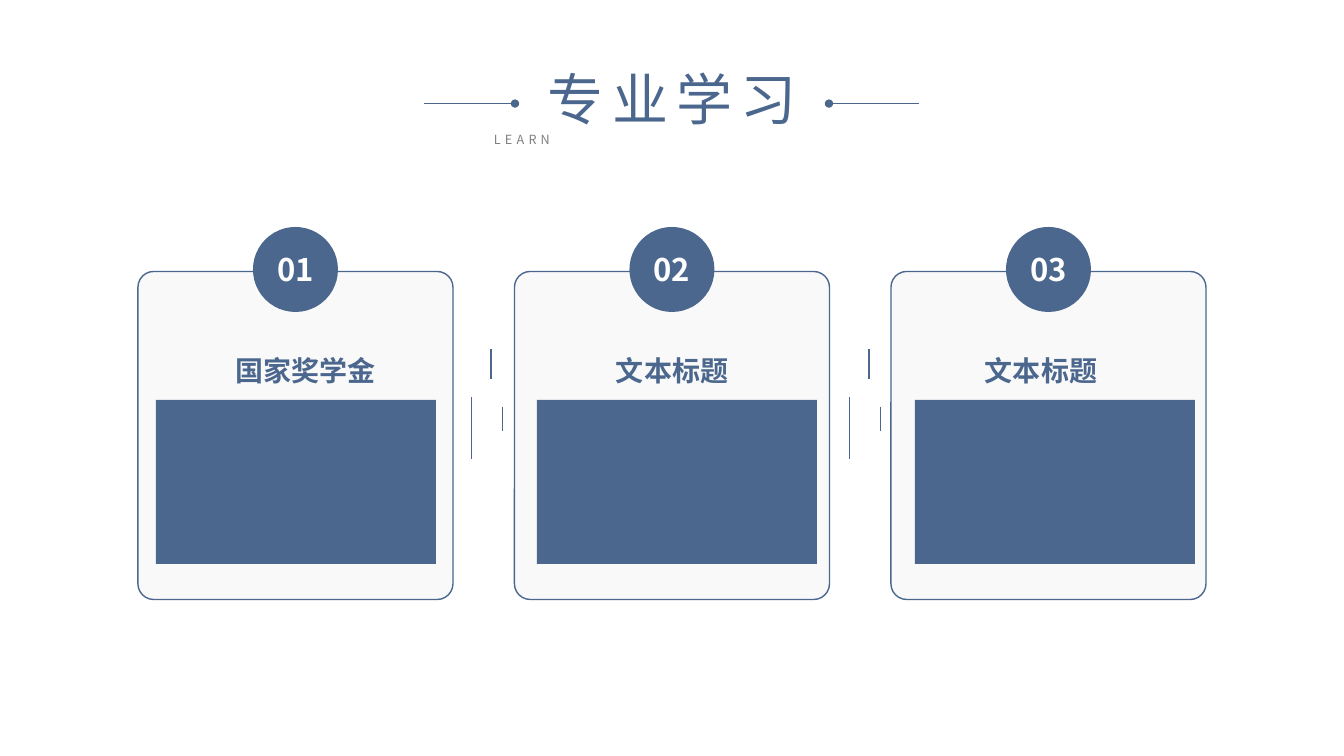
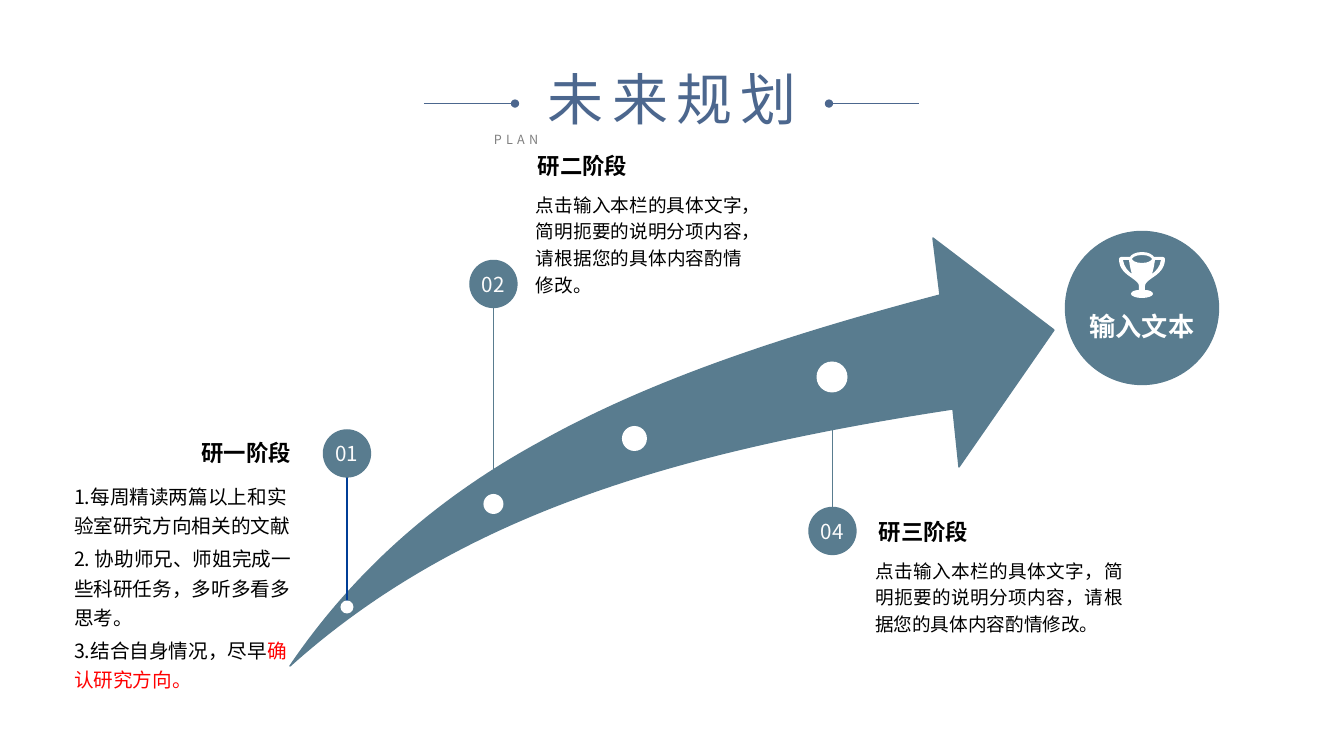
from lxml import etree
from pptx import Presentation
from pptx import util as u
from pptx.dml.color import RGBColor
from pptx.enum import shapes, text
from pptx.oxml import ns

# Shared look
PX = 12192000 / 1344
FONT = "Noto Sans CJK SC"
BLUE = RGBColor(0x4C, 0x67, 0x8E)
TEAL = RGBColor(0x59, 0x7C, 0x8F)
NAVY = RGBColor(0x00, 0x3E, 0x96)
GRAY = RGBColor(0x80, 0x80, 0x80)
PALE = RGBColor(0xF2, 0xF2, 0xF2)
OFF = RGBColor(0xFC, 0xFC, 0xFC)
WHITE = RGBColor(0xFF, 0xFF, 0xFF)
BLACK = RGBColor(0, 0, 0)
RED = RGBColor(0xFF, 0, 0)
KIND = shapes.MSO_SHAPE
ALIGN = text.PP_ALIGN
MID, TOP = text.MSO_ANCHOR.MIDDLE, text.MSO_ANCHOR.TOP
RULE_Y, RULES = 103.6, [(424, 515), (919, 829)]

# Slide 1: number, label, label left, label width, panel left
CARDS = [
    ("01", "国家奖学金", 235, 166, 156),
    ("02", "文本标题", 616, 124, 537),
    ("03", "文本标题", 985, 124, 915),
]
CARD_X, CARD_STEP, CARD_W = 138, 376.5, 315
TICKS = [(491, 349, 379), (502.6, 407, 431), (471.6, 397, 459)]
TICK_STEP = 378

# Slide 2
STEPS = [
    [("1.每周精读两篇以上和实验室研究方向相关的文献", BLACK)],
    [("2. 协助师兄、师姐完成一些科研任务，多听多看多思考。", BLACK)],
    [("3.结合自身情况，尽早", BLACK), ("确认研究方向。", RED)],
]
HINT = "点击输入本栏的具体文字，简明扼要的说明分项内容，请根据您的具体内容酌情修改。"
HEADS = [
    ("研一阶段", (82, 430, 209, 45), ALIGN.RIGHT),
    ("研二阶段", (538, 143, 205, 45), ALIGN.LEFT),
    ("研三阶段", (879, 509, 205, 45), ALIGN.LEFT),
]
HINTS = [(536, 189, 206, 69), (875, 555, 248, 69)]
# Number, centre x, badge y, dot y, line colour
PINS = [
    ("01", 347, 453.5, 607, NAVY),
    ("02", 493.5, 284, 504, TEAL),
    ("04", 832.5, 531, 377, TEAL),
]
DOTS = [(347, 607, 13), (493.5, 504, 20), (634.5, 438.5, 25), (832, 377, 31)]
GOAL = (1142, 308)

# Outlines: a start, then line ends (2 numbers) or curves (6 numbers)
ARROW = [
    (290, 666),
    (352, 575, 433, 501, 539, 443), (647, 382, 781, 337, 940, 295),
    (933, 238), (1054, 330), (959, 467), (953, 409),
    (808, 431, 681, 459, 574, 499), (463, 540, 369, 595, 290, 666),
]
# Trophy parts, measured from the top centre; CUP and RIM are right halves
CUP = [
    (0, 0), (7, 0, 11, 3, 12, 5), (21, 5), (22, 5, 23, 6, 23, 7),
    (23, 17, 16, 22, 10, 26), (6, 29, 3, 31, 3, 34), (3, 38),
    (8, 38, 11, 40, 11, 42), (11, 44, 6, 46, 0, 46),
]
RIM = [(0, 3), (7, 3, 10, 6, 10, 7), (10, 8, 7, 11, 0, 11)]
EAR = [(13, 8), (19, 8), (18, 15, 14, 19, 10, 22), (11, 19, 12, 15, 13, 8)]
CUP_AT = (1142, 252)


def px(n):
    return u.Emu(round(n * PX))


def style(run, size, color, bold=False, gap=0):
    run.font.size, run.font.bold = u.Pt(size), bold
    run.font.name, run.font.color.rgb = FONT, color
    props = run.font._element
    etree.SubElement(props, ns.qn("a:ea"), typeface=FONT)
    if gap:
        props.set("spc", str(gap * 100))


def frame(shape, pad=(0, 0), anchor=MID):
    tf = shape.text_frame
    tf.word_wrap, tf.auto_size = True, text.MSO_AUTO_SIZE.NONE
    tf.vertical_anchor = anchor
    tf.margin_left = tf.margin_right = px(pad[0])
    tf.margin_top = tf.margin_bottom = px(pad[1])
    return tf


def place(shape, box):
    shape.left, shape.top, shape.width, shape.height = map(px, box)


def write(shape, words, size, color, align=ALIGN.LEFT, bold=False, gap=0,
          anchor=MID, lead=1.0):
    tf = frame(shape, anchor=anchor)
    tf.text = words
    para = tf.paragraphs[0]
    para.alignment, para.line_spacing = align, lead
    style(para.runs[0], size, color, bold, gap)


def label(slide, box, *args, **opts):
    write(slide.shapes.add_textbox(*map(px, box)), *args, **opts)


def paint(shape, fill, edge=None):
    shape.shadow.inherit = False
    shape.fill.solid()
    shape.fill.fore_color.rgb = fill
    if edge is None:
        shape.line.fill.background()
    else:
        shape.line.color.rgb, shape.line.width = edge, u.Pt(1)
    return shape


def block(slide, kind, box, fill, edge=None):
    return paint(slide.shapes.add_shape(kind, *map(px, box)), fill, edge)


def disc(slide, x, y, size, fill, edge=None):
    box = (x - size / 2, y - size / 2, size, size)
    return block(slide, KIND.OVAL, box, fill, edge)


def line(slide, x1, y1, x2, y2, color, width=1, dot=False):
    link = slide.shapes.add_connector(
        shapes.MSO_CONNECTOR.STRAIGHT, *map(px, (x1, y1, x2, y2)))
    link.line.color.rgb, link.line.width = color, u.Pt(width)
    if dot:
        etree.SubElement(link.line._get_or_add_ln(), ns.qn("a:tailEnd"),
                         type="oval")
    etree.SubElement(link._element.spPr, ns.qn("a:effectLst"))


def flip(loop):
    """Mirror an outline left to right and run it backwards."""
    flat = [(-n if i % 2 == 0 else n) for seg in loop
            for i, n in enumerate(seg)]
    pairs = list(zip(flat[::2], flat[1::2]))[::-1]
    out, at = [pairs[0]], 1
    for seg in reversed(loop[1:]):
        count = len(seg) // 2
        out.append(sum(pairs[at:at + count], ()))
        at += count
    return out


def draw(slide, loops, fill, edge=None, at=(0, 0)):
    def spot(seg):
        return px(seg[-2] + at[0]), px(seg[-1] + at[1])

    pen = slide.shapes.build_freeform(*spot(loops[0][0]))
    for i, loop in enumerate(loops):
        if i:
            pen.move_to(*spot(loop[0]))
        pen.add_line_segments([spot(seg) for seg in loop[1:]], close=True)
    shape = paint(pen.convert_to_shape(), fill, edge)
    # Bend the segments that have control points
    segs = [seg for loop in loops for seg in loop[1:]]
    steps = shape._element.spPr.findall(".//" + ns.qn("a:lnTo"))
    for seg, step in zip(segs, steps):
        if len(seg) == 6:
            step.tag = ns.qn("a:cubicBezTo")
            for n in (2, 0):
                x, y = spot(seg[n:n + 2])
                knot = etree.Element(ns.qn("a:pt"), x=str(x - shape.left),
                                     y=str(y - shape.top))
                step.insert(0, knot)


def start(deck, layout, title, sub):
    slide = deck.slides.add_slide(deck.slide_layouts[layout])
    place(slide.shapes.title, (521, 59, 303, 78))
    write(slide.shapes.title, title, 40, BLUE, ALIGN.CENTER, gap=6)
    label(slide, (494, 127, 357, 25), sub, 9, GRAY, gap=3)
    for x1, x2 in RULES:
        line(slide, x1, RULE_Y, x2, RULE_Y, BLUE, 0.5, dot=True)
    return slide


def learn(deck):
    slide = start(deck, 5, "专业学习", "LEARN")
    for i, (num, name, name_x, name_w, panel_x) in enumerate(CARDS):
        x = CARD_X + i * CARD_STEP
        card = block(slide, KIND.ROUNDED_RECTANGLE, (x, 271.5, CARD_W, 328),
                     PALE, BLUE)
        card.adjustments[0] = 0.05
        tint = card._element.spPr.find(".//" + ns.qn("a:srgbClr"))
        etree.SubElement(tint, ns.qn("a:alpha"), val="44000")
        badge = disc(slide, x + CARD_W / 2, 269.5, 85, BLUE)
        write(badge, num, 22.2, WHITE, ALIGN.CENTER, bold=True)
        label(slide, (name_x, 348, name_w, 45), name, 20, BLUE, bold=True)
        block(slide, KIND.RECTANGLE, (panel_x, 400, 280, 164), BLUE)
    # Ticks between the cards
    for i in range(len(CARDS) - 1):
        for x, top, end in TICKS:
            x += i * TICK_STEP
            line(slide, x, top, x, end, BLUE)


def plan(deck):
    slide = start(deck, 1, "未来规划", "PLAN")
    draw(slide, [ARROW], TEAL, TEAL)

    # Stage one list
    body = slide.placeholders[1]
    place(body, (64, 474, 244, 263))
    tf = frame(body, (10, 5), TOP)
    for i, parts in enumerate(STEPS):
        para = tf.add_paragraph() if i else tf.paragraphs[0]
        para.line_spacing, para.space_before = 1.25, u.Pt(2.5)
        props = para._p.get_or_add_pPr()
        props.set("marL", "0")
        props.set("indent", "0")
        etree.SubElement(props, ns.qn("a:buNone"))
        for words, color in parts:
            run = para.add_run()
            run.text = words
            style(run, 14, color)

    # Stage headings and hints
    for name, box, align in HEADS:
        label(slide, box, name, 16, BLACK, align, bold=True)
    for box in HINTS:
        label(slide, box, HINT, 13.3, BLACK, ALIGN.JUSTIFY, anchor=TOP,
              lead=1.2)

    # Pins and dots
    for num, x, y, dot_y, color in PINS:
        line(slide, x, dot_y, x, y, color)
        badge = disc(slide, x, y, 47, TEAL, TEAL)
        write(badge, num, 14.7, OFF, ALIGN.CENTER)
    for x, y, size in DOTS:
        disc(slide, x, y, size, WHITE)

    # Goal with trophy
    disc(slide, *GOAL, 153, TEAL, TEAL)
    loops = [CUP + flip(CUP)[1:], RIM + flip(RIM)[1:], EAR, flip(EAR)]
    draw(slide, loops, WHITE, at=CUP_AT)
    label(slide, (1085, 304, 114, 45), "输入文本", 18.7, WHITE,
          ALIGN.CENTER, bold=True)


def main():
    deck = Presentation()
    deck.slide_width, deck.slide_height = px(1344), px(756)
    learn(deck)
    plan(deck)
    deck.save("out.pptx")


if __name__ == "__main__":
    main()
